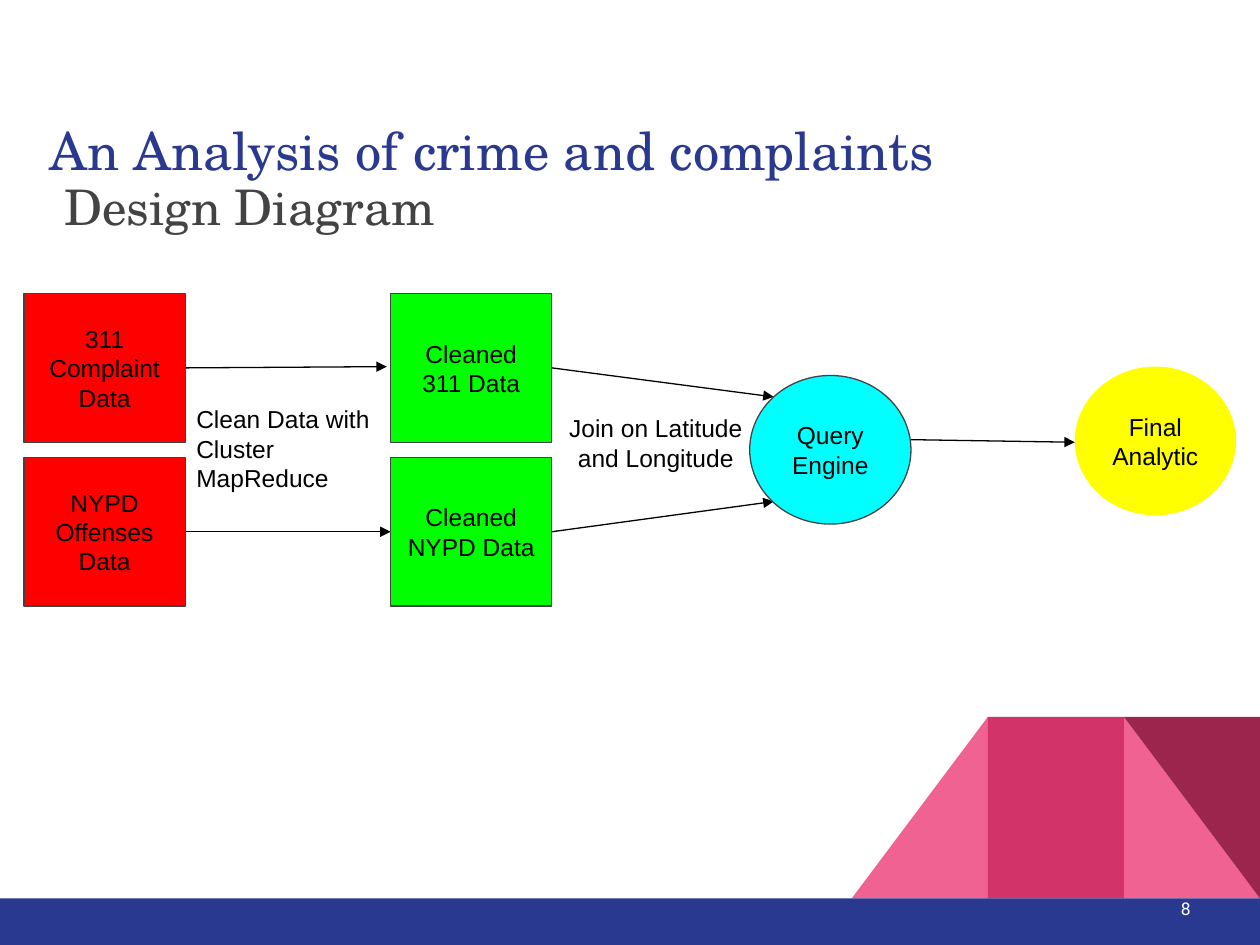
from lxml.etree import SubElement
from pptx import Presentation
from pptx.dml.color import RGBColor
from pptx.enum.shapes import MSO_CONNECTOR, MSO_SHAPE
from pptx.enum.text import MSO_ANCHOR, PP_ALIGN
from pptx.oxml.ns import qn
from pptx.util import Inches, Pt

COLORS = {
    "navy": "2A3990", "gray": "434343", "black": "000000", "white": "FFFFFF",
    "pink": "F06292", "rose": "D23369", "wine": "9C254D",
    "red": "FF0000", "green": "00FF00", "cyan": "00FFFF", "yellow": "FFFF00",
}

presentation = Presentation()
presentation.slide_width = Inches(10)
presentation.slide_height = Inches(7.5)
slide = presentation.slides.add_slide(presentation.slide_layouts[5])


def place(*shares):
    sides = (presentation.slide_width, presentation.slide_height) * 2
    return [round(side * share / 100) for side, share in zip(sides, shares)]


def write(shape, text, size=14, font="Arial", color="black", align=PP_ALIGN.CENTER,
          anchor=MSO_ANCHOR.TOP, inset=0.1, before=0):
    frame = shape.text_frame
    frame.word_wrap = True
    frame.vertical_anchor = anchor
    frame.margin_left = frame.margin_right = Inches(inset)
    frame.margin_top = frame.margin_bottom = Inches(inset)
    paragraph = frame.paragraphs[0]
    paragraph.alignment = align
    paragraph.space_before = Pt(before)
    run = paragraph.add_run()
    run.text = text
    run.font.size = Pt(size)
    run.font.name = font
    run.font.color.rgb = RGBColor.from_string(COLORS[color])


title = slide.shapes.title
title.left, title.top, title.width, title.height = place(3.4, 8, 93.2, 11.87)
write(title, "An Analysis of crime and complaints", size=30, font="TeX Gyre Schola",
      color="navy", align=PP_ALIGN.LEFT, anchor=MSO_ANCHOR.BOTTOM, inset=0.05, before=5)

band_top, panel_width, panel_height = 95.07, 10.8, 19.2
panel_top = band_top - panel_height
decorations = [
    (MSO_SHAPE.RIGHT_TRIANGLE, 1, "pink", 0, False),
    (MSO_SHAPE.RIGHT_TRIANGLE, 3, "pink", 0, True),
    (MSO_SHAPE.RECTANGLE, 2, "rose", 0, False),
    (MSO_SHAPE.RIGHT_TRIANGLE, 1, "wine", 180, False),
]
for kind, columns_from_right, color, rotation, flipped in decorations:
    left = 100 - columns_from_right * panel_width
    panel = slide.shapes.add_shape(kind, *place(left, panel_top, panel_width, panel_height))
    panel.shadow.inherit = False
    panel.fill.solid()
    panel.fill.fore_color.rgb = RGBColor.from_string(COLORS[color])
    panel.line.fill.background()
    panel.rotation = rotation
    if flipped:
        panel.element.spPr.find(qn("a:xfrm")).set("flipH", "1")

band = slide.shapes.add_shape(MSO_SHAPE.RECTANGLE, *place(0, band_top, 100, 100 - band_top))
band.shadow.inherit = False
band.fill.solid()
band.fill.fore_color.rgb = RGBColor.from_string(COLORS["navy"])
band.line.fill.background()

page_number = slide.shapes.add_textbox(*place(93.1, 94.4, 1.9, 3.33))
write(page_number, "8", size=10, font="Roboto", color="white", align=PP_ALIGN.RIGHT, inset=0.05)

subtitle = slide.shapes.add_textbox(*place(4.6, 18, 85.1, 7.6))
write(subtitle, "Design Diagram", size=28, font="TeX Gyre Schola", color="gray",
      align=PP_ALIGN.LEFT, inset=0.05)

arrows = [
    (14.7, 38.93, 30.7, 38.8),
    (14.7, 56.27, 31, 56.27),
    (43.8, 38.93, 61.4, 42),
    (43.8, 56.27, 61.4, 53.07),
    (72.3, 46.53, 85.3, 46.8),
]
for ends in arrows:
    arrow = slide.shapes.add_connector(MSO_CONNECTOR.STRAIGHT, *place(*ends))
    arrow.line.color.rgb = RGBColor.from_string(COLORS["black"])
    arrow.line.width = Pt(0.75)
    properties = arrow.element.spPr
    SubElement(properties.find(qn("a:ln")), qn("a:tailEnd"), type="triangle")
    SubElement(properties, qn("a:effectLst"))

node_width, node_height = 12.8, 15.73
upper_row, lower_row = 31.07, 48.4
nodes = [
    ("311 Complaint Data", MSO_SHAPE.RECTANGLE, 1.9, upper_row, "red", True),
    ("NYPD Offenses Data", MSO_SHAPE.RECTANGLE, 1.9, lower_row, "red", True),
    ("Cleaned 311 Data", MSO_SHAPE.RECTANGLE, 31, upper_row, "green", True),
    ("Cleaned NYPD Data", MSO_SHAPE.RECTANGLE, 31, lower_row, "green", True),
    ("Query Engine", MSO_SHAPE.OVAL, 59.5, 39.73, "cyan", True),
    ("Final Analytic", MSO_SHAPE.OVAL, 85.3, 38.8, "yellow", False),
]
for text, kind, left, top, color, outlined in nodes:
    node = slide.shapes.add_shape(kind, *place(left, top, node_width, node_height))
    node.shadow.inherit = False
    node.fill.solid()
    node.fill.fore_color.rgb = RGBColor.from_string(COLORS[color])
    if outlined:
        node.line.color.rgb = RGBColor.from_string(COLORS["gray"])
        node.line.width = Pt(0.75)
    else:
        node.line.fill.background()
    write(node, text, anchor=MSO_ANCHOR.MIDDLE)

labels = [
    ("Clean Data with Cluster MapReduce", 14.6, 41.47, PP_ALIGN.LEFT),
    ("Join on Latitude and Longitude", 43.9, 42.4, PP_ALIGN.CENTER),
]
for text, left, top, align in labels:
    label = slide.shapes.add_textbox(*place(left, top, 16.3, 10.4))
    write(label, text, align=align)

presentation.save("out.pptx")
